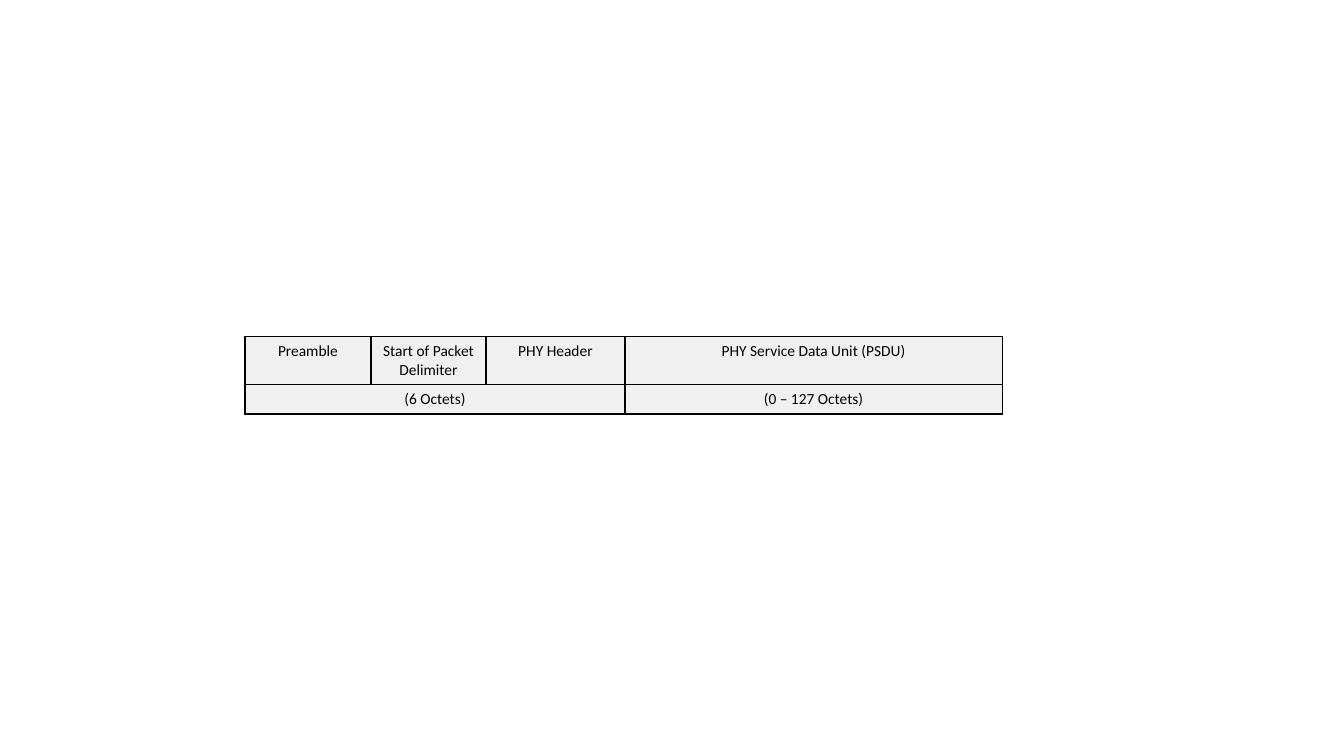
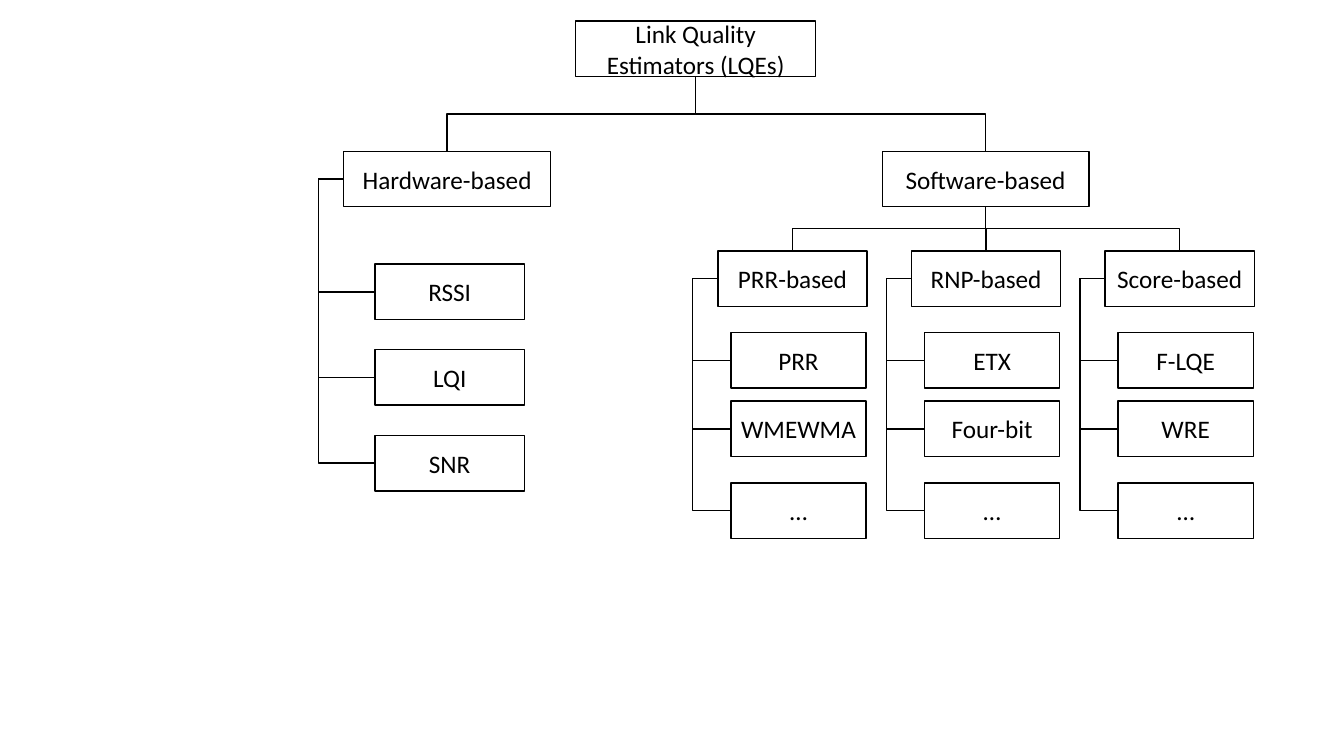
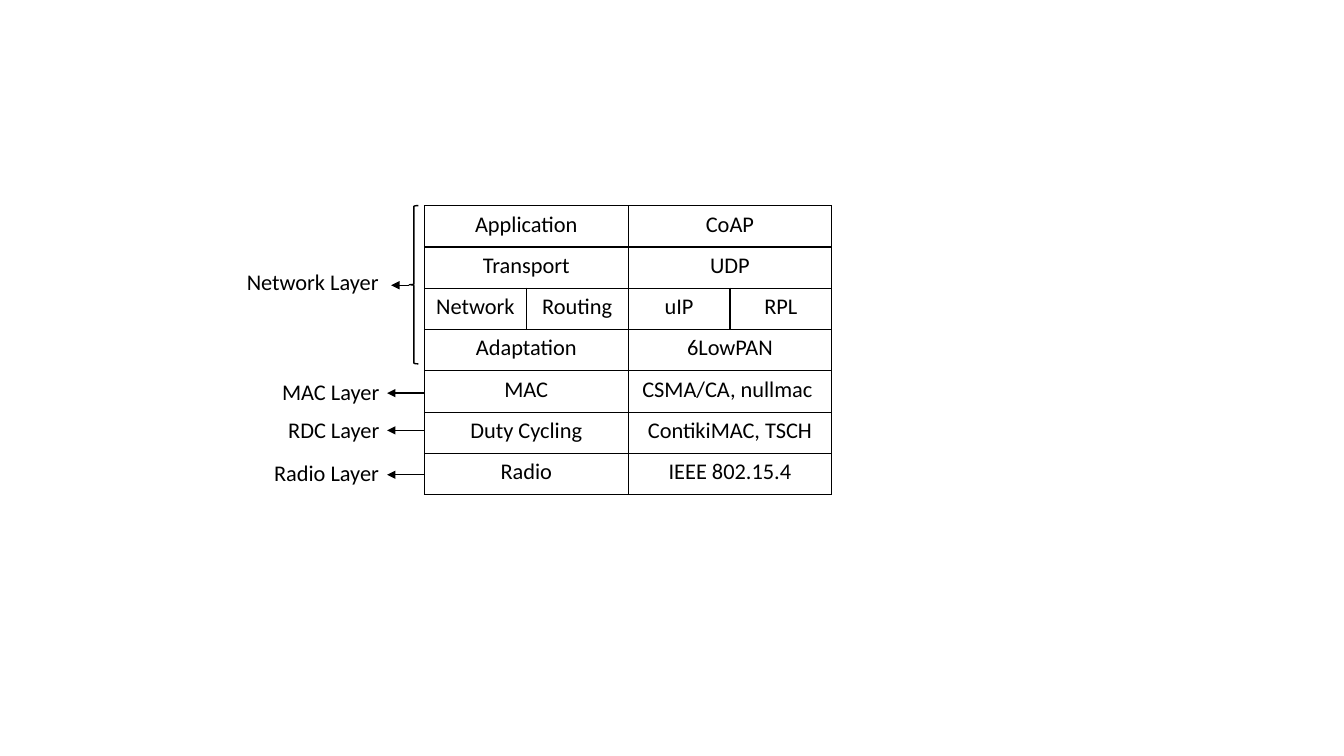
from lxml import etree
from pptx import Presentation
from pptx.dml.color import RGBColor
from pptx.enum.shapes import MSO_CONNECTOR, MSO_SHAPE
from pptx.enum.text import MSO_ANCHOR, MSO_AUTO_SIZE, PP_ALIGN
from pptx.oxml.ns import qn
from pptx.util import Inches, Pt

ELBOW, STRAIGHT = MSO_CONNECTOR.ELBOW, MSO_CONNECTOR.STRAIGHT
RECTANGLE, BRACE = MSO_SHAPE.RECTANGLE, MSO_SHAPE.LEFT_BRACE
CENTER, LEFT = PP_ALIGN.CENTER, PP_ALIGN.LEFT
MIDDLE = MSO_ANCHOR.MIDDLE
FIT_TEXT = MSO_AUTO_SIZE.SHAPE_TO_FIT_TEXT
TOP_SITE, LEFT_SITE, BOTTOM_SITE = 0, 1, 2

COLORS = {"ink": "000000", "paper": "FFFFFF", "field": "F0F0F0"}
FONT = "Calibri"
LINE_WIDTH = Pt(1)
SLIDE_WIDTH, SLIDE_HEIGHT = 13.33, 7.5
BLANK = 6

# Estimator tree, in inches
BOX_HEIGHT = 0.55
CLASS_WIDTH, FAMILY_WIDTH, LEAF_WIDTH = 2.05, 1.48, 1.34
FAMILY_LEFT, FAMILY_PITCH, FAMILY_TOP = 7.12, 1.92, 2.49
LEAF_INDENT, LEAF_TOPS = 0.13, (3.3, 3.98, 4.79)
METRIC_LEFT, METRIC_TOP, METRIC_PITCH = 3.72, 2.62, 0.85
TRUNK_OFFSET = 0.25

# Protocol stack, in inches
STACK_LEFT, STACK_TOP = 4.21, 2.04
STACK_COLUMN, STACK_ROW = 1.01, 0.41
LABEL_RIGHT, LABEL_HEIGHT, ARROW_TIP = 3.88, 0.37, 3.84


def color(name):
    """Look up a named colour."""
    return RGBColor.from_string(COLORS[name])


def write(frame, text, size, align=CENTER):
    """Set a text frame's text in the shared font."""
    frame.text = text
    para = frame.paragraphs[0]
    para.alignment = align
    for span in para.runs:
        span.font.name = FONT
        span.font.size = Pt(size)
        span.font.color.rgb = color("ink")


def outline(item):
    """Give a shape or connector the shared thin line."""
    item.line.color.rgb = color("ink")
    item.line.width = LINE_WIDTH


def add_borders(cell):
    """Draw the four borders of a table cell."""
    properties = cell._tc.get_or_add_tcPr()
    for side in ("a:lnL", "a:lnR", "a:lnT", "a:lnB"):
        border = etree.SubElement(properties, qn(side), w=str(LINE_WIDTH))
        fill = etree.SubElement(border, qn("a:solidFill"))
        etree.SubElement(fill, qn("a:srgbClr"), val=COLORS["ink"])


def add_grid(page, left, top, columns, heights, rows, size, fill=None):
    """Add a bordered table; each row lists (text, columns spanned)."""
    table = page.shapes.add_table(
        len(heights), len(columns), Inches(left), Inches(top),
        Inches(sum(columns)), Inches(sum(heights))).table
    table.first_row = table.horz_banding = False
    for column, width in zip(table.columns, columns):
        column.width = Inches(width)
    for row, height in zip(table.rows, heights):
        row.height = Inches(height)
    for cell in table.iter_cells():
        add_borders(cell)
        if fill:
            cell.fill.solid()
            cell.fill.fore_color.rgb = color(fill)
        else:
            cell.fill.background()
    for y, entries in enumerate(rows):
        x = 0
        for text, span in entries:
            cell = table.cell(y, x)
            if span > 1:
                cell.merge(table.cell(y, x + span - 1))
            write(cell.text_frame, text, size)
            x += span


def add_box(page, text, left, top, width):
    """Add one outlined box of the tree."""
    box = page.shapes.add_shape(RECTANGLE, Inches(left), Inches(top),
                                Inches(width), Inches(BOX_HEIGHT))
    box.shadow.inherit = False
    box.fill.solid()
    box.fill.fore_color.rgb = color("paper")
    outline(box)
    box.text_frame.word_wrap = True
    box.text_frame.vertical_anchor = MIDDLE
    write(box.text_frame, text, 18)
    return box


def add_line(page, kind, start=(0, 0), end=(0, 0)):
    """Add a thin connector without a shadow."""
    line = page.shapes.add_connector(kind, *map(Inches, start + end))
    outline(line)
    etree.SubElement(line.element.spPr, qn("a:effectLst"))
    return line


def add_elbow(page, parent, parent_site, child, child_site):
    """Glue an elbow connector to two boxes."""
    line = add_line(page, ELBOW)
    line.begin_connect(parent, parent_site)
    line.end_connect(child, child_site)
    return line


def add_drop(page, parent, child):
    """Link the bottom of a box to the top of a box below it."""
    line = add_elbow(page, parent, BOTTOM_SITE, child, TOP_SITE)
    start_x, start_y, end_x, end_y = (line.begin_x, line.begin_y,
                                      line.end_x, line.end_y)
    width, height = end_y - start_y, abs(end_x - start_x)
    line.left = (start_x + end_x - width) // 2
    line.top = (start_y + end_y - height) // 2
    line.width, line.height = width, height
    frame = line.element.spPr.find(qn("a:xfrm"))
    frame.attrib.pop("flipH", None)
    if end_x < start_x:
        frame.set("rot", "5400000")
    else:
        frame.set("rot", "16200000")
        frame.set("flipH", "1")


def add_branch(page, parent, child):
    """Link the left sides of two boxes by a trunk to their left."""
    line = add_elbow(page, parent, LEFT_SITE, child, LEFT_SITE)
    bend = round(-100000 * Inches(TRUNK_OFFSET) / line.width)
    guides = line.element.spPr.find(qn("a:prstGeom")).find(qn("a:avLst"))
    etree.SubElement(guides, qn("a:gd"), name="adj1", fmla=f"val {bend}")


def add_arrow(page, start, end):
    """Add a straight line with an arrowhead at its end."""
    arrow = add_line(page, STRAIGHT, start, end)
    etree.SubElement(arrow.line._get_or_add_ln(), qn("a:tailEnd"),
                     type="triangle")


def add_label(page, text, top, width):
    """Add a layer name that ends beside its arrow."""
    label = page.shapes.add_textbox(Inches(LABEL_RIGHT - width), Inches(top),
                                    Inches(width), Inches(LABEL_HEIGHT))
    label.text_frame.word_wrap = False
    label.text_frame.auto_size = FIT_TEXT
    write(label.text_frame, text, 16, LEFT)


def build_packet(page):
    """Show the fields of a PHY packet."""
    fields = ("Preamble", "Start of Packet Delimiter", "PHY Header",
              "PHY Service Data Unit (PSDU)")
    rows = [[(field, 1) for field in fields],
            [("(6 Octets)", 3), ("(0 – 127 Octets)", 1)]]
    add_grid(page, 2.43, 3.34, (1.25, 1.14, 1.38, 3.74), (0.47, 0.28),
             rows, 11, "field")


def build_tree(page):
    """Show the taxonomy of link quality estimators."""
    root = add_box(page, "Link Quality Estimators (LQEs)", 5.71, 0.21, 2.38)
    hardware = add_box(page, "Hardware-based", 3.41, 1.5, CLASS_WIDTH)
    software = add_box(page, "Software-based", 8.75, 1.5, CLASS_WIDTH)
    add_drop(page, root, hardware)
    add_drop(page, root, software)

    for index, name in enumerate(("RSSI", "LQI", "SNR")):
        metric = add_box(page, name, METRIC_LEFT,
                         METRIC_TOP + index * METRIC_PITCH, FAMILY_WIDTH)
        add_branch(page, hardware, metric)

    families = {"PRR-based": ("PRR", "WMEWMA", "…"),
                "RNP-based": ("ETX", "Four-bit", "…"),
                "Score-based": ("F-LQE", "WRE", "…")}
    for index, (name, leaves) in enumerate(families.items()):
        left = FAMILY_LEFT + index * FAMILY_PITCH
        family = add_box(page, name, left, FAMILY_TOP, FAMILY_WIDTH)
        add_drop(page, software, family)
        for leaf_name, top in zip(leaves, LEAF_TOPS):
            leaf = add_box(page, leaf_name, left + LEAF_INDENT, top,
                           LEAF_WIDTH)
            add_branch(page, family, leaf)


def build_stack(page):
    """Show the protocol stack beside its layer names."""
    stacks = (
        ("Application", "Transport", ("Network", "Routing"), "Adaptation",
         "MAC", "Duty Cycling", "Radio"),
        ("CoAP", "UDP", ("uIP", "RPL"), "6LowPAN",
         "CSMA/CA, nullmac ", "ContikiMAC, TSCH", "IEEE 802.15.4"))
    for index, stack in enumerate(stacks):
        rows = [[(entry, 2)] if isinstance(entry, str)
                else [(half, 1) for half in entry] for entry in stack]
        add_grid(page, STACK_LEFT + index * 2 * STACK_COLUMN, STACK_TOP,
                 (STACK_COLUMN,) * 2, (STACK_ROW,) * len(rows), rows, 16)

    brace = page.shapes.add_shape(BRACE, Inches(4.06), Inches(STACK_TOP),
                                  Inches(0.09), Inches(1.57))
    brace.shadow.inherit = False
    brace.fill.background()
    outline(brace)

    add_label(page, "Network Layer", 2.61, 1.53)
    add_arrow(page, (4.06, 2.83), (LABEL_RIGHT, 2.83))
    layers = (("MAC Layer", 3.7, 1.18, 3.9),
              ("RDC Layer", 4.08, 1.12, 4.27),
              ("Radio Layer", 4.51, 1.26, 4.71))
    for name, top, width, arrow_y in layers:
        add_label(page, name, top, width)
        add_arrow(page, (STACK_LEFT, arrow_y), (ARROW_TIP, arrow_y))


def main():
    """Build the deck and save it."""
    deck = Presentation()
    deck.slide_width = Inches(SLIDE_WIDTH)
    deck.slide_height = Inches(SLIDE_HEIGHT)
    for build in (build_packet, build_tree, build_stack):
        build(deck.slides.add_slide(deck.slide_layouts[BLANK]))
    deck.save("out.pptx")


main()
